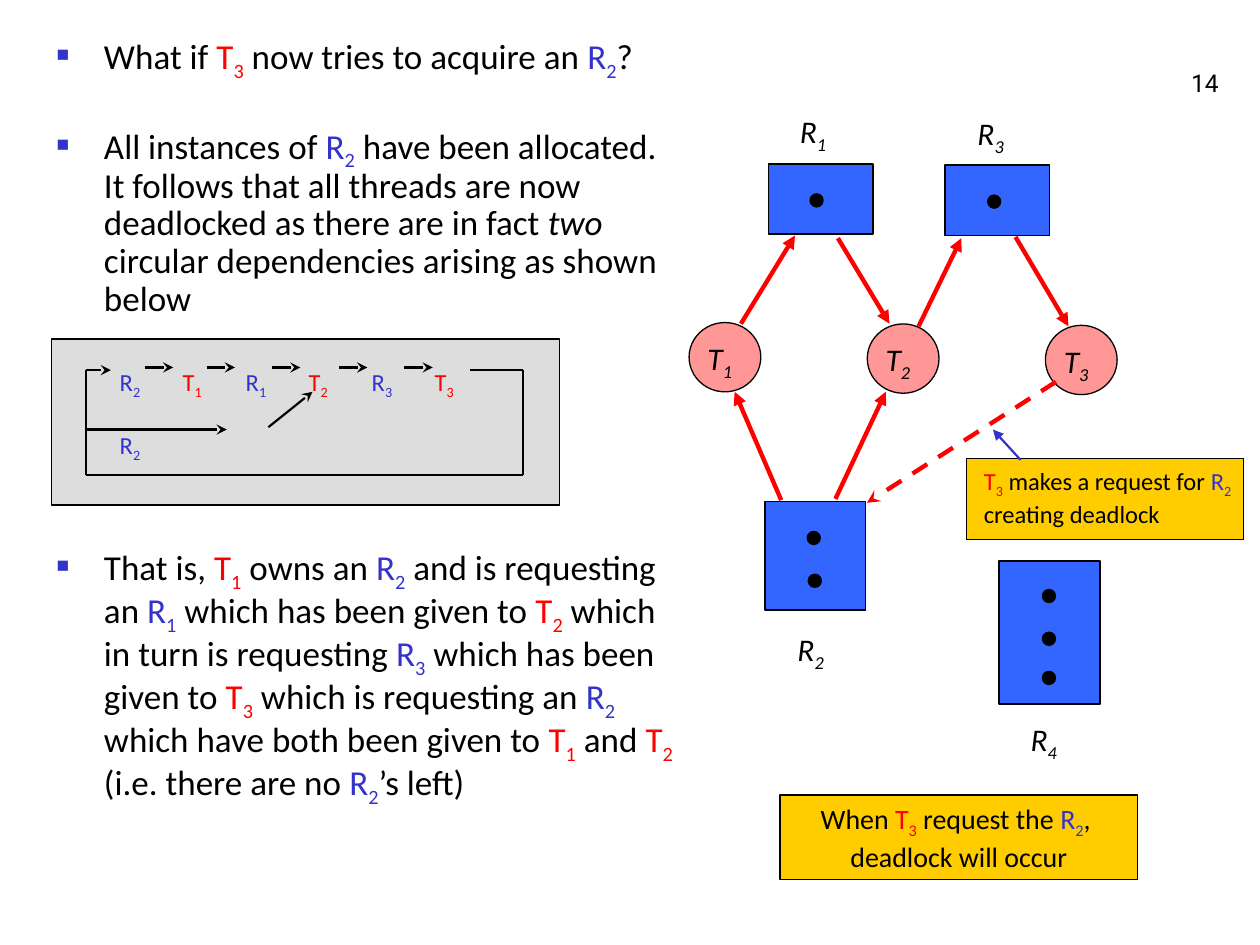
from dataclasses import dataclass

from lxml.etree import SubElement
from pptx import Presentation
from pptx.dml.color import RGBColor
from pptx.enum.dml import MSO_LINE
from pptx.enum.shapes import MSO_CONNECTOR, MSO_SHAPE
from pptx.enum.text import MSO_ANCHOR, MSO_AUTO_SIZE, PP_ALIGN
from pptx.oxml.ns import qn
from pptx.util import Pt


@dataclass(frozen=True)
class Theme:
    ink: str = "000000"
    thread: str = "FF0000"
    resource: str = "3333CC"
    thread_fill: str = "FF9797"
    resource_fill: str = "3366FF"
    note_fill: str = "FFCC00"
    panel_fill: str = "DDDDDD"
    font: str = "Calibri"
    number_font: str = "Roboto"
    body_size: int = 20
    label_size: int = 18
    note_size: int = 16
    small_size: int = 14


class SlideBuilder:
    def __init__(self, slide, theme):
        self.slide = slide
        self.theme = theme

    def add_run(self, paragraph, text, size, color=None, italic=False, font=None):
        run = paragraph.add_run()
        run.text = text
        run.font.name = font or self.theme.font
        run.font.size = Pt(size)
        run.font.italic = italic
        run.font.color.rgb = RGBColor.from_string(color or self.theme.ink)
        return run

    def add_symbol(self, paragraph, symbol, size, color=None, italic=False):
        """Add a letter followed by its subscript, such as T3."""
        self.add_run(paragraph, symbol[0], size, color, italic)
        subscript = self.add_run(paragraph, symbol[1:], size, color, italic)
        subscript.font._element.set("baseline", "-25000")

    def add_text(self, paragraph, text, size):
        """Add text in which {T1} or {R1} is a symbol and other braces are italic."""
        colors = {"T": self.theme.thread, "R": self.theme.resource}
        for index, piece in enumerate(text.replace("}", "{").split("{")):
            if index % 2 and piece[0] in colors:
                self.add_symbol(paragraph, piece, size, colors[piece[0]])
            elif piece:
                self.add_run(paragraph, piece, size, italic=bool(index % 2))

    def shape(self, kind, box, fill, line_width):
        shape = self.slide.shapes.add_shape(kind, *map(Pt, box))
        shape.shadow.inherit = False
        shape.fill.solid()
        shape.fill.fore_color.rgb = RGBColor.from_string(fill)
        shape.line.color.rgb = RGBColor.from_string(self.theme.ink)
        shape.line.width = Pt(line_width)
        return shape

    def rectangle(self, box, fill, line_width=0.75):
        return self.shape(MSO_SHAPE.RECTANGLE, box, fill, line_width)

    def text_box(self, box):
        shape = self.slide.shapes.add_textbox(*map(Pt, box))
        shape.text_frame.word_wrap = True
        return shape

    def label(self, symbol, left, top):
        shape = self.text_box((left, top, 33.8, 31.7))
        self.add_symbol(shape.text_frame.paragraphs[0], symbol,
                        self.theme.label_size, italic=True)
        return shape

    def resource(self, symbol, box, dots, label_at):
        self.rectangle(box, self.theme.resource_fill, 1)
        for x, y in dots:
            self.shape(MSO_SHAPE.OVAL, (x - 3.5, y - 3.5, 7, 7), self.theme.ink, 1.25)
        self.label(symbol, *label_at)

    def thread(self, symbol, left, top):
        circle = self.shape(MSO_SHAPE.OVAL, (left, top, 41, 39.6),
                            self.theme.thread_fill, 0.75)
        label = self.label(symbol, left + 3.4, top + 5.8)
        self.slide.shapes.add_group_shape([circle, label])

    def line(self, start, end, color=None, width=1.25, head=None, dashed=False):
        connector = self.slide.shapes.add_connector(
            MSO_CONNECTOR.STRAIGHT, *map(Pt, (*start, *end)))
        connector.line.color.rgb = RGBColor.from_string(color or self.theme.ink)
        connector.line.width = Pt(width)
        if dashed:
            connector.line.dash_style = MSO_LINE.DASH
        if head:
            SubElement(connector.line._get_or_add_ln(), qn("a:tailEnd"), type=head)
        SubElement(connector._element.spPr, qn("a:effectLst"))

    def body_paragraph(self, paragraph, text, size, space_before, tabs=()):
        """Format a bulleted item, or a row of symbols when tab stops are given."""
        paragraph.line_spacing = 0.9
        paragraph.space_before = Pt(space_before)
        paragraph.space_after = Pt(0)
        properties = paragraph._p.get_or_add_pPr()
        hanging = 0 if tabs else Pt(27)
        properties.set("marL", str(hanging))
        properties.set("indent", str(-hanging))
        if tabs:
            SubElement(properties, qn("a:buNone"))
            stops = SubElement(properties, qn("a:tabLst"))
            for position in tabs:
                SubElement(stops, qn("a:tab"), pos=str(Pt(position)), algn="l")
        else:
            color = SubElement(properties, qn("a:buClr"))
            SubElement(color, qn("a:srgbClr"), val=self.theme.resource)
            SubElement(properties, qn("a:buSzPct"), val="60000")
            SubElement(properties, qn("a:buFont"), typeface="Arial")
            SubElement(properties, qn("a:buChar"), char="■")
        self.add_text(paragraph, text, size)

    def body(self, box, items):
        shape = self.slide.placeholders[1]
        shape.left, shape.top, shape.width, shape.height = map(Pt, box)
        frame = shape.text_frame
        frame.auto_size = MSO_AUTO_SIZE.NONE
        for index, item in enumerate(items):
            paragraph = frame.add_paragraph() if index else frame.paragraphs[0]
            self.body_paragraph(paragraph, *item)


def add_body(builder):
    theme = builder.theme
    panel = builder.rectangle((29.5, 193.7, 290.2, 95), theme.panel_fill)
    builder.slide.shapes._spTree.insert(2, panel._element)  # behind the body text
    builder.body((25.2, 16.6, 368, 486.7), [
        ("What if {T3} now tries to acquire an {R2}?", theme.body_size, 5),
        ("All instances of {R2} have been allocated. It follows that all threads are now "
         "deadlocked as there are in fact {two} circular dependencies arising as shown "
         "below", theme.body_size, 26.5),
        ("\t{R2}\t{T1}\t{R1}\t{T2}\t{R3}\t{T3}", theme.small_size, 27.5,
         (31, 71.5, 108, 144, 180.5, 216.5)),
        ("\t{R2}", theme.small_size, 19, (132,)),
        ("That is, {T1} owns an {R2} and is requesting an {R1} which has been given to "
         "{T2} which in turn is requesting {R3} which has been given to {T3} which is "
         "requesting an {R2} which have both been given to {T1} and {T2} (i.e. there are "
         "no {R2}’s left)", theme.body_size, 49),
    ])


def add_dependency_loop(builder):
    left, right, top, bottom, middle = 49, 298.8, 211.5, 271.5, 245.5
    builder.line((268.6, top), (right, top))
    builder.line((right, top), (right, bottom))
    builder.line((right, bottom), (left, bottom))
    builder.line((left, bottom), (left, top))
    builder.line((left, top), (63.4, top), head="stealth")
    builder.line((left, middle), (129.6, middle), head="stealth")
    for x in (82.8, 118.1, 155.5, 193.7, 231.1):
        builder.line((x, 210), (x + 16.2, 210), head="stealth")
    builder.line((153.4, 244.1), (178.6, 223.9), head="stealth")


def add_allocation_graph(builder):
    theme = builder.theme
    builder.resource("R1", (439.2, 93.6, 59.8, 40.3), [(466.6, 114.5)], (450, 60.5))
    builder.resource("R3", (540, 94.3, 59.8, 40.3), [(568.1, 115.2)], (551.5, 61.9))
    builder.resource("R4", (571, 320.4, 57.6, 82),
                     [(599.4, y) for y in (340.6, 365, 387.4)], (581.8, 408.2))
    builder.resource("R2", (437, 286.6, 57.6, 62),
                     [(465, 307.4), (465.6, 331.9)], (448.6, 356.4))
    for index, symbol in enumerate(("T1", "T2", "T3")):
        builder.thread(symbol, 393.8 + 101.8 * index, 184.3 + 0.8 * index)
    for start, end in (
        ((446.4, 285.8), (419.8, 223.9)),
        ((477.4, 285.1), (506.2, 223.9)),
        ((524.9, 186.5), (549.4, 136.1)),
        ((423.4, 185), (454.3, 134.6)),
        ((478.8, 136.1), (508.3, 185)),
        ((580.3, 135.4), (610.6, 186.5)),
    ):
        builder.line(start, end, theme.thread, 2.5, "triangle")
    builder.line((603.4, 218.2), (495.4, 287.3), theme.thread, 2.5, "stealth", True)


def add_notes_on_graph(builder):
    theme = builder.theme
    summary = builder.rectangle((445.7, 454.3, 204.5, 48.2), theme.note_fill)
    summary.text_frame.word_wrap = True
    paragraph = summary.text_frame.paragraphs[0]
    paragraph.alignment = PP_ALIGN.CENTER
    builder.add_text(paragraph, "When {T3} request the {R2}, ", theme.note_size)
    paragraph.add_line_break()
    builder.add_text(paragraph, "deadlock will occur", theme.note_size)

    builder.rectangle((552.2, 262.1, 158.4, 46.1), theme.note_fill)
    callout = builder.text_box((555.1, 262.8, 164.9, 43.2))
    builder.add_text(callout.text_frame.paragraphs[0],
                     "{T3} makes a request for {R2} creating deadlock", theme.small_size)
    builder.line((583.2, 262.8), (567.4, 245.5), theme.resource, head="triangle")


def add_slide_number(builder):
    frame = builder.text_box((553.7, 23, 149.8, 36)).text_frame
    frame.vertical_anchor = MSO_ANCHOR.BOTTOM
    frame.paragraphs[0].alignment = PP_ALIGN.RIGHT
    builder.add_run(frame.paragraphs[0], "14", builder.theme.small_size,
                    font=builder.theme.number_font)


def main():
    presentation = Presentation()
    presentation.slide_width, presentation.slide_height = Pt(720), Pt(540)
    slide = presentation.slides.add_slide(presentation.slide_layouts[1])
    title = slide.shapes.title._element
    title.getparent().remove(title)
    builder = SlideBuilder(slide, Theme())
    add_body(builder)
    add_dependency_loop(builder)
    add_allocation_graph(builder)
    add_notes_on_graph(builder)
    add_slide_number(builder)
    presentation.save("out.pptx")


if __name__ == "__main__":
    main()
